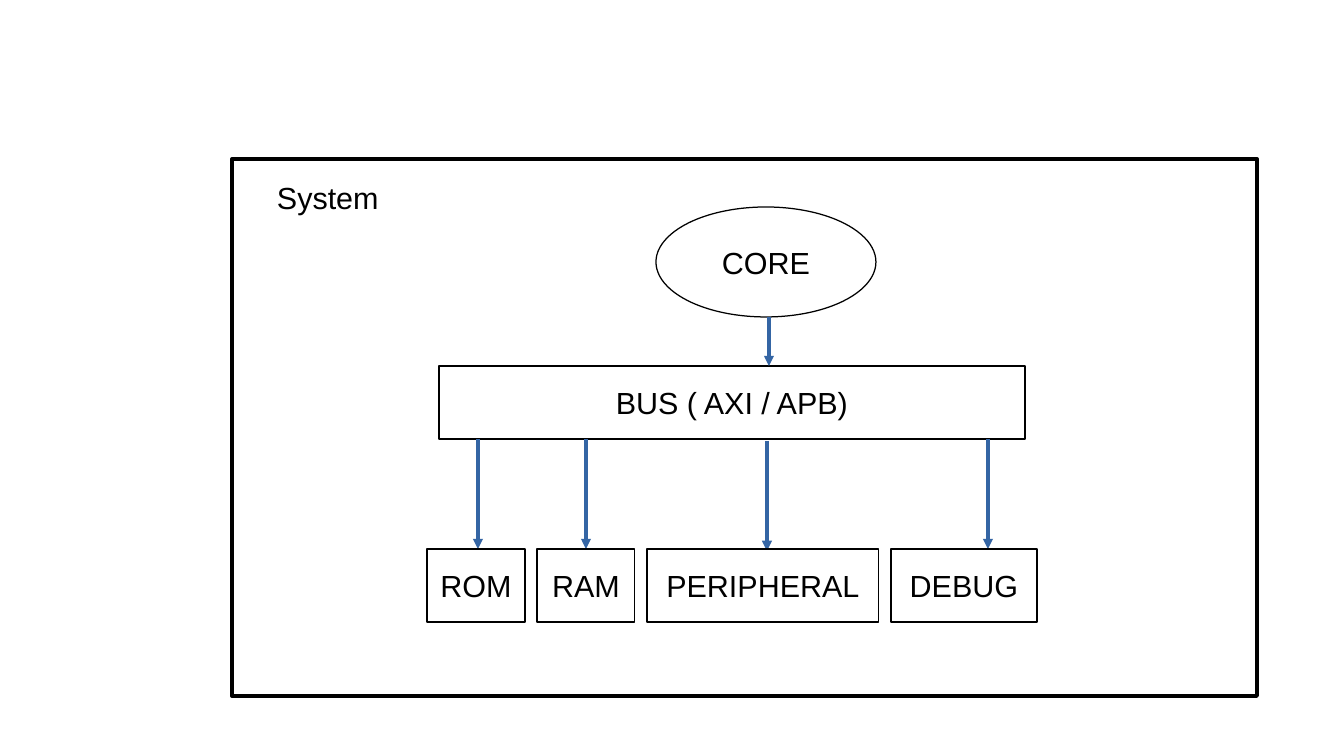
from lxml.etree import SubElement
from pptx import Presentation
from pptx.dml.color import RGBColor
from pptx.enum.shapes import MSO_CONNECTOR, MSO_SHAPE
from pptx.enum.text import MSO_ANCHOR, PP_ALIGN
from pptx.oxml.ns import qn
from pptx.util import Emu, Pt

EMU_PER_PX = 914400 / 122
COLORS = {"paper": "FFFFFF", "ink": "000000", "arrow": "3465A4"}
BLOCK_GAP = 12
BLOCK_HEIGHT = 73
# name, block width, arrow offset from the block's left edge, arrow drop
BLOCKS = [
    ("ROM", 98, 51, 0),
    ("RAM", 98, 49, 0),
    ("PERIPHERAL", 232, 120, 2),
    ("DEBUG", 146, 97, 0),
]


def px(*lengths):
    return [Emu(round(length * EMU_PER_PX)) for length in lengths]


def color(name):
    return RGBColor.from_string(COLORS[name])


def write(shape, text, align):
    frame = shape.text_frame
    frame.text = text
    para = frame.paragraphs[0]
    para.alignment = align
    for span in para.runs:
        span.font.name = "Arial"
        span.font.size = Pt(18)
        span.font.color.rgb = color("ink")


def add_block(page, kind, box, text="", line_width=0):
    shape = page.shapes.add_shape(kind, *px(*box))
    shape.shadow.inherit = False
    shape.fill.solid()
    shape.fill.fore_color.rgb = color("paper")
    shape.line.color.rgb = color("ink")
    shape.line.width = Pt(line_width)
    if text:
        write(shape, text, PP_ALIGN.CENTER)
        shape.text_frame.word_wrap = False
        shape.text_frame.vertical_anchor = MSO_ANCHOR.MIDDLE


def add_arrow(page, x, top, bottom):
    arrow = page.shapes.add_connector(
        MSO_CONNECTOR.STRAIGHT, *px(x, top, x, bottom))
    arrow.line.color.rgb = color("arrow")
    arrow.line.width = Pt(0)
    SubElement(arrow.line._get_or_add_ln(), qn("a:tailEnd"), type="triangle")
    SubElement(arrow._element.spPr, qn("a:effectLst"))


def add_label(page, box, text):
    label = page.shapes.add_textbox(*px(*box))
    label.text_frame.word_wrap = True
    write(label, text, PP_ALIGN.LEFT)


def add_block_row(page, left, top, bus_bottom):
    for name, width, arrow_offset, drop in BLOCKS:
        add_arrow(page, left + arrow_offset, bus_bottom + drop, top + drop)
        add_block(page, MSO_SHAPE.RECTANGLE,
                  (left, top, width, BLOCK_HEIGHT), name)
        left += width + BLOCK_GAP


def add_system(page, left, top, width, height):
    # Frame and its label
    add_block(page, MSO_SHAPE.RECTANGLE, (left, top, width, height),
              line_width=2.3)
    add_label(page, (left + 33, top + 14, 211, 46), "System")

    # Core feeding the bus
    core_top, core_height = top + 48, 110
    bus_top = top + 207
    add_block(page, MSO_SHAPE.OVAL,
              (left + 424, core_top, 220, core_height), "CORE")
    add_block(page, MSO_SHAPE.RECTANGLE,
              (left + 207, bus_top, 586, BLOCK_HEIGHT), "BUS ( AXI / APB)")
    add_arrow(page, left + 537, core_top + core_height, bus_top)

    # Blocks hanging off the bus
    add_block_row(page, left + 195, top + 390, bus_top + BLOCK_HEIGHT)


def main():
    deck = Presentation()
    deck.slide_width, deck.slide_height = px(1344, 756)
    page = deck.slides.add_slide(deck.slide_layouts[6])
    add_system(page, 232, 159, 1025, 537)
    deck.save("out.pptx")


if __name__ == "__main__":
    main()
